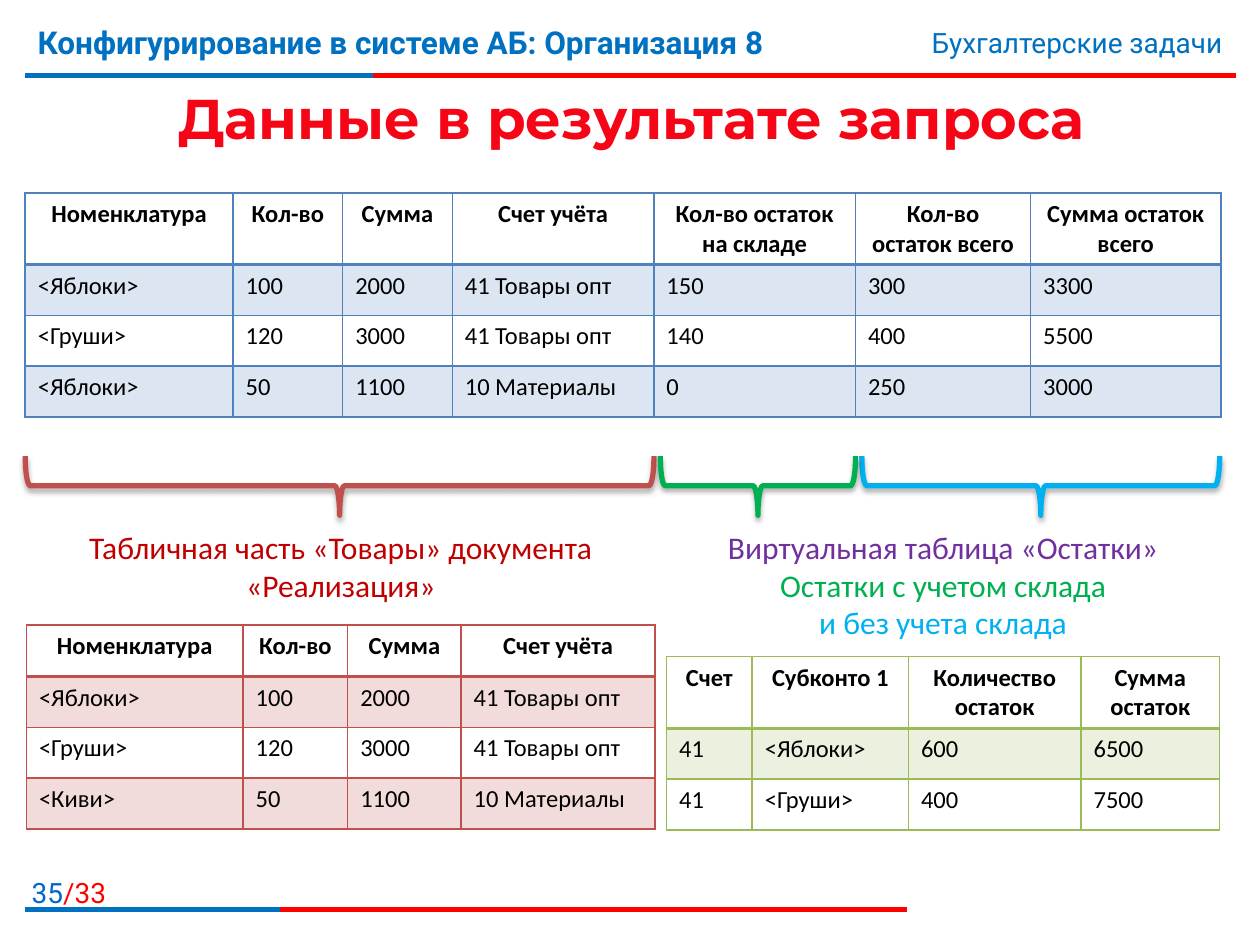
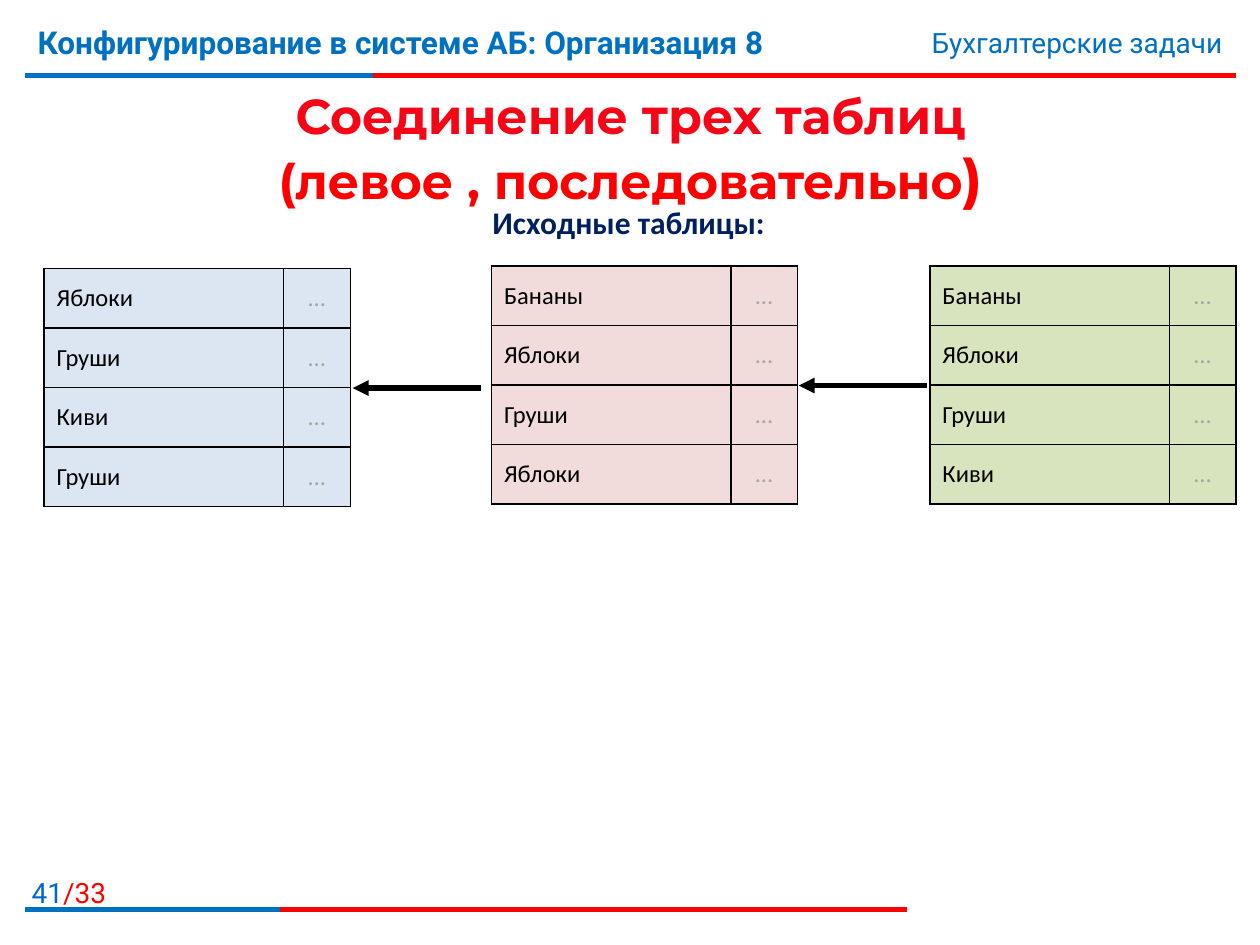
from dataclasses import dataclass
from typing import Callable, NamedTuple, Optional

from lxml.etree import SubElement
from pptx import Presentation
from pptx.dml.color import RGBColor
from pptx.enum.shapes import MSO_CONNECTOR, MSO_SHAPE
from pptx.enum.text import MSO_ANCHOR as Anchor, MSO_AUTO_SIZE, PP_ALIGN as Align
from pptx.oxml.ns import qn
from pptx.util import Inches, Pt


class TextStyle(NamedTuple):
    size: int
    font: str
    color: str
    bold: bool = False


@dataclass(frozen=True)
class Theme:
    red: str = "FF0000"
    blue: str = "0070C0"
    page_blue: str = "0066CC"
    title_red: str = "F50516"
    black: str = "000000"
    muted: str = "A6A6A6"
    navy: str = "002060"
    dark_red: str = "C00000"
    purple: str = "7030A0"
    green: str = "00B050"
    sky: str = "00B0F0"
    table_blue: str = "4F81BD"
    table_red: str = "C0504D"
    table_green: str = "9BBB59"
    pale_blue: str = "DCE6F2"
    pale_red: str = "F2DCDB"
    pale_green: str = "EBF1DE"
    soft_green: str = "D7E4BD"
    title_size: int = 32
    long_title_size: int = 28
    label_size: int = 18
    small_size: int = 16
    cell_size: int = 14
    rule_width: int = 3
    heading_font: str = "Montserrat"
    chrome_font: str = "Roboto"
    body_font: str = "Calibri"

    def title(self, size: int, color: str) -> TextStyle:
        return TextStyle(size, self.heading_font, color, True)

    def chrome(self, size: int, color: str, bold: bool = False) -> TextStyle:
        return TextStyle(size, self.chrome_font, color, bold)

    def label(self, color: str, bold: bool = False) -> TextStyle:
        return TextStyle(self.label_size, self.body_font, color, bold)

    def cell(self, color: str, bold: bool = False) -> TextStyle:
        return TextStyle(self.cell_size, self.body_font, color, bold)


THEME = Theme()


class Box(NamedTuple):
    left: float
    top: float
    width: float
    height: float

    def lengths(self) -> list:
        return [Inches(value) for value in self]


class CellLook(NamedTuple):
    style: TextStyle
    fill: Optional[str] = None
    align: Align = Align.LEFT
    anchor: Anchor = Anchor.TOP


@dataclass(frozen=True)
class Grid:
    left: float
    top: float
    height: float
    columns: list[float]
    rows: list[list[str]]
    line: str
    header_height: Optional[float] = None


class Brace(NamedTuple):
    left: float
    width: float
    color: str


def apply_style(run, style: TextStyle) -> None:
    run.font.size = Pt(style.size)
    run.font.name = style.font
    run.font.bold = style.bold
    run.font.color.rgb = RGBColor.from_string(style.color)


def write(frame, text: str, *styles: TextStyle, align: Align = Align.LEFT) -> None:
    """Set the text and style its runs in order; the last style serves the rest."""
    frame.text = text
    runs = [run for paragraph in frame.paragraphs for run in paragraph.runs]
    for index, run in enumerate(runs):
        apply_style(run, styles[min(index, len(styles) - 1)])
    for paragraph in frame.paragraphs:
        paragraph.alignment = align
        for line_break in paragraph._p.findall(qn("a:br")):
            SubElement(line_break, qn("a:rPr"), sz=str(styles[0].size * 100))


def append_run(frame, text: str, style: TextStyle) -> None:
    run = frame.paragraphs[-1].add_run()
    run.text = text
    apply_style(run, style)


def add_text(slide, box: Box, text: str, *styles: TextStyle,
             align: Align = Align.LEFT, wrap: bool = True):
    frame = slide.shapes.add_textbox(*box.lengths()).text_frame
    frame.word_wrap = wrap
    write(frame, text, *styles, align=align)
    return frame


def add_rule(slide, left: float, right: float, y: float, color: str):
    rule = slide.shapes.add_connector(
        MSO_CONNECTOR.STRAIGHT, Inches(left), Inches(y), Inches(right), Inches(y))
    rule.line.color.rgb = RGBColor.from_string(color)
    rule.line.width = Pt(THEME.rule_width)
    SubElement(rule._element.spPr, qn("a:effectLst"))
    return rule


def add_arrow(slide, start: float, end: float, y: float) -> None:
    arrow = add_rule(slide, start, end, y, THEME.black)
    SubElement(arrow.line._get_or_add_ln(), qn("a:tailEnd"), type="triangle")


def add_brace(slide, brace: Brace) -> None:
    """Draw a brace that opens upwards: a right brace turned by 90 degrees."""
    top, depth = 3.62, 0.47
    shift = (brace.width - depth) / 2
    box = Box(brace.left + shift, top - shift, depth, brace.width)
    shape = slide.shapes.add_shape(MSO_SHAPE.RIGHT_BRACE, *box.lengths())
    shape.rotation = 90
    shape.fill.background()
    shape.line.color.rgb = RGBColor.from_string(brace.color)
    shape.line.width = Pt(THEME.rule_width)
    shape.shadow.inherit = False
    effects = shape._element.spPr.find(qn("a:effectLst"))
    shadow = SubElement(effects, qn("a:outerShdw"), blurRad=str(Pt(3.1)),
                        dist=str(Pt(1.8)), dir="5400000", rotWithShape="0")
    color = SubElement(shadow, qn("a:srgbClr"), val=THEME.black)
    SubElement(color, qn("a:alpha"), val="35000")


def set_borders(cell, color: str, top: int, bottom: int) -> None:
    properties = cell._tc.get_or_add_tcPr()
    for side, width in (("L", 1), ("R", 1), ("T", top), ("B", bottom)):
        line = SubElement(properties, qn(f"a:ln{side}"), w=str(Pt(width)))
        fill = SubElement(line, qn("a:solidFill"))
        SubElement(fill, qn("a:srgbClr"), val=color)


def add_grid(slide, grid: Grid, look_at: Callable[[int, int], CellLook]) -> None:
    box = Box(grid.left, grid.top, sum(grid.columns), grid.height)
    table = slide.shapes.add_table(
        len(grid.rows), len(grid.columns), *box.lengths()).table
    table.first_row = table.horz_banding = False
    for column, width in zip(table.columns, grid.columns):
        column.width = Inches(width)
    header = grid.header_height or grid.height / len(grid.rows)
    body = (grid.height - header) / (len(grid.rows) - 1)
    for r, texts in enumerate(grid.rows):
        table.rows[r].height = Inches(body if r else header)
        for c, text in enumerate(texts):
            cell, look = table.cell(r, c), look_at(r, c)
            heavy = 2 if grid.header_height else 1
            set_borders(cell, grid.line, top=heavy if r == 1 else 1,
                        bottom=heavy if r == 0 else 1)
            if look.fill:
                cell.fill.solid()
                cell.fill.fore_color.rgb = RGBColor.from_string(look.fill)
            else:
                cell.fill.background()
            cell.vertical_anchor = look.anchor
            write(cell.text_frame, text, look.style, align=look.align)


def banded(fill: str) -> Callable[[int, int], CellLook]:
    """Bold centred header, then every other row filled."""
    def look_at(row: int, column: int) -> CellLook:
        if row == 0:
            return CellLook(THEME.cell(THEME.black, True), align=Align.CENTER)
        return CellLook(THEME.cell(THEME.black), fill if row % 2 else None)
    return look_at


def plain(fill: str) -> Callable[[int, int], CellLook]:
    """One fill, with a muted centred second column."""
    def look_at(row: int, column: int) -> CellLook:
        color, align = ((THEME.muted, Align.CENTER) if column
                        else (THEME.black, Align.LEFT))
        return CellLook(THEME.cell(color), fill, align, Anchor.MIDDLE)
    return look_at


def add_slide(deck, page: int, title: str, title_box: Box, *styles: TextStyle):
    """Add a slide with the shared header, footer and title."""
    slide = deck.slides.add_slide(deck.slide_layouts[5])
    for y, right, split in ((0.6, 9.81, 2.96), (7.22, 7.2, 2.22)):
        add_rule(slide, 0.2, right, y, THEME.red)
        add_rule(slide, 0.2, split, y, THEME.blue)
    number = add_text(slide, Box(0, 6.9, 0.94, 0.32), str(page),
                      THEME.chrome(THEME.small_size, THEME.page_blue),
                      align=Align.RIGHT)
    append_run(number, "/33", THEME.chrome(THEME.small_size, THEME.red))
    add_text(slide, Box(0.2, 0.13, 7.4, 0.62),
             "Конфигурирование в системе АБ: Организация 8",
             THEME.chrome(THEME.label_size, THEME.blue, True))
    add_text(slide, Box(5.94, 0.15, 3.86, 0.37), "Бухгалтерские задачи",
             THEME.chrome(THEME.small_size, THEME.blue), align=Align.RIGHT)
    heading = slide.shapes.title
    heading.left, heading.top, heading.width, heading.height = title_box.lengths()
    heading.text_frame.auto_size = MSO_AUTO_SIZE.NONE
    heading.text_frame.vertical_anchor = Anchor.MIDDLE
    write(heading.text_frame, title, *styles, align=Align.CENTER)
    return slide


def build_query_result(deck) -> None:
    slide = add_slide(deck, 35, "Данные в результате запроса",
                      Box(0.21, 0.63, 9.61, 0.6),
                      THEME.title(THEME.title_size, THEME.title_red))
    goods_header = ["Номенклатура", "Кол-во", "Сумма", "Счет учёта"]
    apples = ["<Яблоки>", "100", "2000", "41 Товары опт"]
    pears = ["<Груши>", "120", "3000", "41 Товары опт"]
    materials = ["50", "1100", "10 Материалы"]
    result = Grid(0.2, 1.53, 1.78, [1.65, 0.87, 0.87, 1.6, 1.6, 1.39, 1.51], [
        goods_header + ["Кол-во остаток на складе", "Кол-во остаток всего",
                        "Сумма остаток всего"],
        apples + ["150", "300", "3300"],
        pears + ["140", "400", "5500"],
        ["<Яблоки>", *materials, "0", "250", "3000"],
    ], THEME.table_blue, 0.57)
    goods = Grid(0.21, 4.96, 1.62, [1.72, 0.83, 0.9, 1.54],
                 [goods_header, apples, pears, ["<Киви>", *materials]],
                 THEME.table_red, 0.41)
    balances = Grid(5.29, 5.21, 1.38, [0.68, 1.24, 1.37, 1.1], [
        ["Счет", "Субконто 1", "Количество остаток", "Сумма остаток"],
        ["41", "<Яблоки>", "600", "6500"],
        ["41", "<Груши>", "400", "7500"],
    ], THEME.table_green, 0.57)
    add_grid(slide, result, banded(THEME.pale_blue))
    add_grid(slide, goods, banded(THEME.pale_red))
    add_grid(slide, balances, banded(THEME.pale_green))
    for brace in (Brace(0.2, 4.99, THEME.table_red),
                  Brace(6.84, 2.84, THEME.sky),
                  Brace(5.24, 1.55, THEME.green)):
        add_brace(slide, brace)
    add_text(slide, Box(0.21, 4.14, 4.99, 0.71),
             "Табличная часть «Товары» документа «Реализация»",
             THEME.label(THEME.dark_red), align=Align.CENTER)
    add_text(slide, Box(5.29, 4.14, 4.39, 1.01),
             "Виртуальная таблица «Остатки»\n"
             "Остатки с учетом склада\vи без учета склада",
             *map(THEME.label, (THEME.purple, THEME.green, THEME.sky)),
             align=Align.CENTER)


def build_table_join(deck) -> None:
    slide = add_slide(deck, 41, "Соединение трех таблиц\v(левое , последовательно",
                      Box(0.2, 0.6, 9.61, 1.15),
                      THEME.title(THEME.long_title_size, THEME.title_red),
                      THEME.title(THEME.long_title_size, THEME.red))
    append_run(slide.shapes.title.text_frame, ")",
               THEME.title(THEME.title_size, THEME.red))
    add_text(slide, Box(3.81, 1.56, 2.38, 0.4), "Исходные таблицы:",
             THEME.label(THEME.navy, True), wrap=False)
    sources = (
        (0.35, 2.13, THEME.pale_blue, ["Яблоки", "Груши", "Киви", "Груши"]),
        (3.9, 2.11, THEME.pale_red, ["Бананы", "Яблоки", "Груши", "Яблоки"]),
        (7.38, 2.11, THEME.soft_green, ["Бананы", "Яблоки", "Груши", "Киви"]),
    )
    for left, top, fill, fruits in sources:
        rows = [[fruit, "…"] for fruit in fruits]
        add_grid(slide, Grid(left, top, 1.89, [1.9, 0.53], rows, THEME.black),
                 plain(fill))
    add_arrow(slide, 3.82, 2.8, 3.08)
    add_arrow(slide, 7.36, 6.34, 3.06)


def main() -> None:
    deck = Presentation()
    deck.slide_width, deck.slide_height = Inches(10), Inches(7.5)
    build_query_result(deck)
    build_table_join(deck)
    deck.save("out.pptx")


if __name__ == "__main__":
    main()
